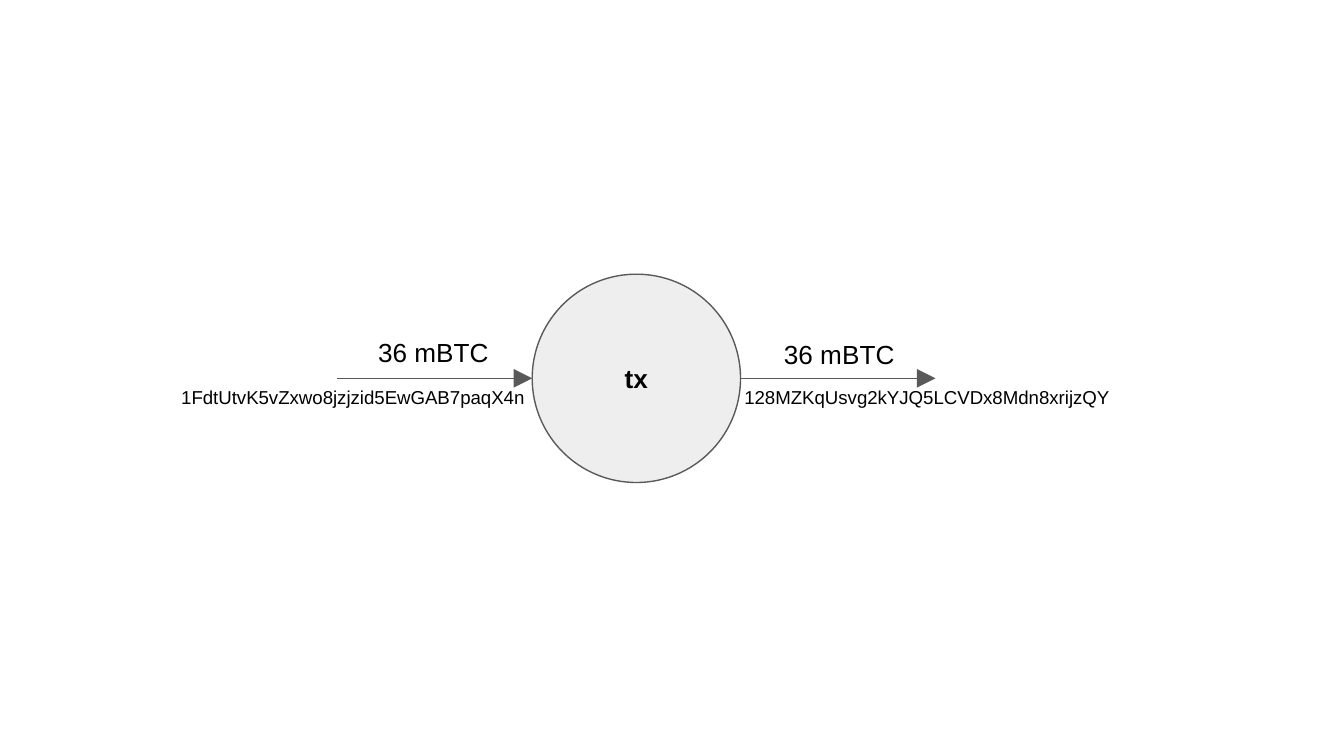
import pptx
import pptx.util
import pptx.dml.color
import pptx.enum.shapes
import pptx.enum.text
import pptx.oxml.ns
from lxml import etree

Inches = pptx.util.Inches
ALIGN = pptx.enum.text.PP_ALIGN
GREY = "595959"


def color(value):
    """Turn a hex string into a colour."""
    return pptx.dml.color.RGBColor.from_string(value)


def write(shape, text, size, align, bold=False):
    """Put one styled line of text in a shape."""
    frame = shape.text_frame
    frame.word_wrap = True
    frame.margin_left = frame.margin_right = Inches(0.1)
    frame.margin_top = frame.margin_bottom = Inches(0.1)
    frame.text = text
    para = frame.paragraphs[0]
    para.alignment = align
    font = para.runs[0].font
    font.name = "Arial"
    font.size = pptx.util.Pt(size)
    font.bold = bold
    font.color.rgb = color("000000")


def add_label(page, box, text, size, align):
    """Add a text box."""
    label = page.shapes.add_textbox(*map(Inches, box))
    write(label, text, size, align)


def add_arrow(page, start, end, y):
    """Add a horizontal arrow pointing right."""
    arrow = page.shapes.add_connector(
        pptx.enum.shapes.MSO_CONNECTOR.STRAIGHT,
        Inches(start), Inches(y), Inches(end), Inches(y))
    arrow.line.color.rgb = color(GREY)
    arrow.line.width = pptx.util.Pt(0.75)
    etree.SubElement(arrow.line._get_or_add_ln(), pptx.oxml.ns.qn("a:tailEnd"),
                     type="triangle", w="lg", len="lg")
    etree.SubElement(arrow._element.spPr, pptx.oxml.ns.qn("a:effectLst"))


def add_transaction(page, box):
    """Add the transaction circle."""
    circle = page.shapes.add_shape(
        pptx.enum.shapes.MSO_SHAPE.OVAL, *map(Inches, box))
    circle.shadow.inherit = False
    circle.fill.solid()
    circle.fill.fore_color.rgb = color("EEEEEE")
    circle.line.color.rgb = color(GREY)
    circle.line.width = pptx.util.Pt(0.75)
    circle.text_frame.vertical_anchor = pptx.enum.text.MSO_ANCHOR.MIDDLE
    write(circle, "tx", 14, ALIGN.CENTER, bold=True)


def add_transfer(page, box, address, address_box, amount_box):
    """Add an arrow with its address and amount, placed from its start."""
    left, y, length = box
    add_arrow(page, left, left + length, y)
    for text, size, align, (dx, dy, width, height) in (
            (address, 10, ALIGN.LEFT, address_box),
            ("36 mBTC", 14, ALIGN.CENTER, amount_box)):
        add_label(page, (left + dx, y + dy, width, height), text, size, align)


def main():
    """Build the transaction slide."""
    deck = pptx.Presentation()
    deck.slide_width = Inches(10)
    deck.slide_height = deck.slide_width * 9 // 16
    page = deck.slides.add_slide(deck.slide_layouts[6])
    left, top, size, length = 3.96, 2.04, 1.55, 1.45
    middle = top + size / 2
    add_transaction(page, (left, top, size, size))
    add_transfer(page, (left - length, middle, length),
                 "1FdtUtvK5vZxwo8jzjzid5EwGAB7paqX4n",
                 (-1.26, -0.03, 3.16, 0.57), (0.03, -0.41, 1.37, 0.45))
    add_transfer(page, (left + size, middle, length),
                 "128MZKqUsvg2kYJQ5LCVDx8Mdn8xrijzQY",
                 (-0.07, -0.03, 2.93, 0.38), (0.05, -0.4, 1.37, 0.45))
    deck.save("out.pptx")


if __name__ == "__main__":
    main()
